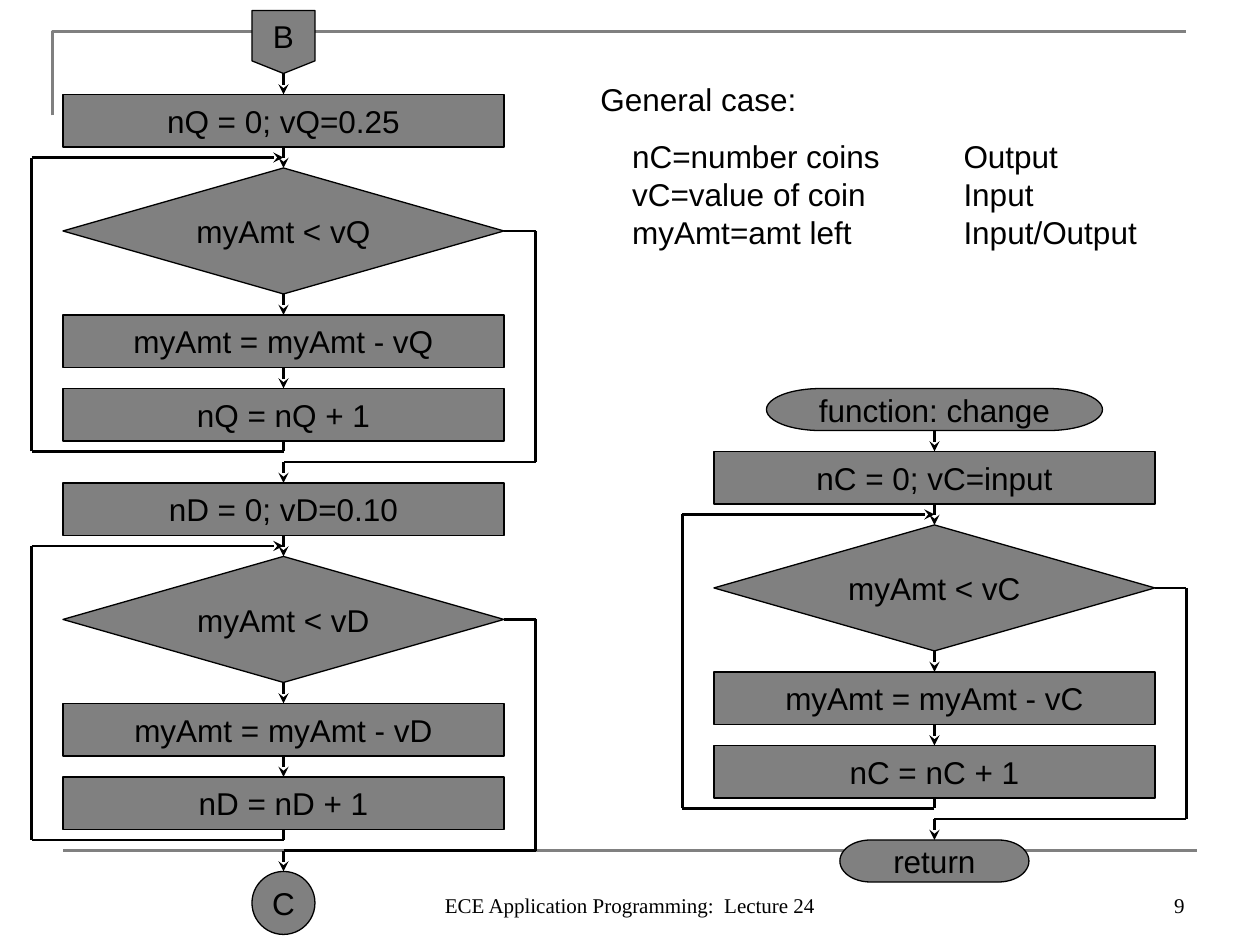
import pptx
import pptx.util
from pptx.dml.color import RGBColor
from pptx.enum.shapes import MSO_CONNECTOR, MSO_SHAPE
from pptx.enum.text import MSO_ANCHOR, PP_ALIGN
from pptx.oxml.ns import qn
from lxml import etree

# Content; positions are in grid units of 1/12 inch
LOOPS = [  # centre x, top, (start, test, subtract, count)
    (27, 9, ("nQ = 0; vQ=0.25", "myAmt < vQ", "myAmt = myAmt - vQ", "nQ = nQ + 1")),
    (27, 46, ("nD = 0; vD=0.10", "myAmt < vD", "myAmt = myAmt - vD", "nD = nD + 1")),
    (89, 43, ("nC = 0; vC=input", "myAmt < vC", "myAmt = myAmt - vC", "nC = nC + 1")),
]
TERMINALS = [  # kind, centre x, top, width, height, label
    (MSO_SHAPE.FLOWCHART_OFFPAGE_CONNECTOR, 27, 1, 6, 6, "B"),
    (MSO_SHAPE.FLOWCHART_CONNECTOR, 27, 83, 6, 6, "C"),
    (MSO_SHAPE.FLOWCHART_TERMINATOR, 89, 37, 32, 4, "function: change"),
    (MSO_SHAPE.FLOWCHART_TERMINATOR, 89, 80, 18, 4, "return"),
]
ENTRIES = [(27, 7), (89, 41)]
NOTES_HEADING = "General case:"
NOTES = [
    ("nC=number coins", "Output"),
    ("vC=value of coin", "Input"),
    ("myAmt=amt left", "Input/Output"),
]
NOTE_TABS = (0.64, 7.32)  # cm
FOOTER = "ECE Application Programming:  Lecture 24"
PAGE_NUMBER = "9"
GRAY, BLACK = "808080", "000000"

# Steps of a loop: kind, offset from the loop's top, height
PROCESS, DECISION = MSO_SHAPE.FLOWCHART_PROCESS, MSO_SHAPE.FLOWCHART_DECISION
STEPS = [(PROCESS, 0, 5), (DECISION, 7, 12), (PROCESS, 21, 5), (PROCESS, 28, 5)]
STEP_WIDTH, SIDE = 42, 24

deck = pptx.Presentation()
deck.slide_width = pptx.util.Cm(25.4)
deck.slide_height = pptx.util.Cm(19.05)
page = deck.slides.add_slide(deck.slide_layouts[6])


def grid(units):
    return pptx.util.Cm(units * 2.54 / 12)


def color(value):
    return RGBColor.from_string(value)


def style_text(frame, align, anchor, size=18, font="Arial"):
    frame.vertical_anchor = anchor
    for para in frame.paragraphs:
        para.alignment = align
        for span in para.runs:
            span.font.size = pptx.util.Pt(size)
            span.font.name = font
            span.font.color.rgb = color(BLACK)


def add_step(kind, center, top, width, height, label):
    box = page.shapes.add_shape(
        kind, grid(center - width / 2), grid(top), grid(width), grid(height))
    box.shadow.inherit = False
    box.fill.solid()
    box.fill.fore_color.rgb = color(GRAY)
    box.line.color.rgb = color(BLACK)
    box.line.width = pptx.util.Pt(0.75)
    box.text_frame.text = label
    box.text_frame.word_wrap = False
    style_text(box.text_frame, PP_ALIGN.CENTER, MSO_ANCHOR.MIDDLE)


def add_text(left, top, width, height, text):
    box = page.shapes.add_textbox(grid(left), grid(top), grid(width), grid(height))
    box.text_frame.word_wrap = True
    box.text_frame.text = text
    return box.text_frame


def add_line(start, end, arrow=False, hue=BLACK, width=1.25):
    line = page.shapes.add_connector(
        MSO_CONNECTOR.STRAIGHT, *(grid(value) for value in start + end))
    line.line.color.rgb = color(hue)
    line.line.width = pptx.util.Pt(width)
    if arrow:
        etree.SubElement(line.line._get_or_add_ln(), qn("a:tailEnd"), type="stealth")
    etree.SubElement(line._element.spPr, qn("a:effectLst"))


def add_route(*points):
    """Join the points with lines; the last one carries the arrowhead."""
    for number, (start, end) in enumerate(zip(points, points[1:]), 2):
        add_line(start, end, arrow=number == len(points))


# Frame lines
builder = page.shapes.build_freeform(5, 11, scale=grid(1))
builder.add_line_segments([(5, 3), (113, 3)], close=False)
corner = builder.convert_to_shape()
corner.shadow.inherit = False
corner.fill.background()
corner.line.color.rgb = color(GRAY)
corner.line.width = pptx.util.Pt(1.5)
add_line((6, 81), (114, 81), hue=GRAY, width=1.5)

# Loops: steps, arrows between them, the way back and the way out
for center, top, labels in LOOPS:
    for (kind, offset, height), label in zip(STEPS, labels):
        add_step(kind, center, top + offset, STEP_WIDTH, height, label)
    for (_, offset, height), (_, following, _) in zip(STEPS, STEPS[1:]):
        add_route((center, top + offset + height), (center, top + following))
    left, right = center - SIDE, center + SIDE
    add_route((center, top + 33), (center, top + 34), (left, top + 34),
              (left, top + 6), (center, top + 6))
    add_route((center + STEP_WIDTH / 2, top + 13), (right, top + 13),
              (right, top + 35), (center, top + 35), (center, top + 37))

# Starts and ends
for terminal in TERMINALS:
    add_step(*terminal)
for center, top in ENTRIES:
    add_route((center, top), (center, top + 2))

# General case notes
rows = "\v".join(f"\t{name}\t{role}" for name, role in NOTES)
notes = add_text(56, 7, 58, 17.5, f"{NOTES_HEADING}\n{rows}")
table_para = notes.paragraphs[1]
table_para.space_before = pptx.util.Pt(11.2)
tabs = etree.SubElement(table_para._p.get_or_add_pPr(), qn("a:tabLst"))
for stop in NOTE_TABS:
    etree.SubElement(tabs, qn("a:tab"), pos=str(pptx.util.Cm(stop)), algn="l")
style_text(notes, PP_ALIGN.LEFT, MSO_ANCHOR.TOP)

# Footer
for left, width, text, align in [(86, 28, PAGE_NUMBER, PP_ALIGN.RIGHT),
                                 (41, 38, FOOTER, PP_ALIGN.CENTER)]:
    style_text(add_text(left, 82, width, 6, text), align, MSO_ANCHOR.BOTTOM,
               12, "Times New Roman")

deck.save("out.pptx")
